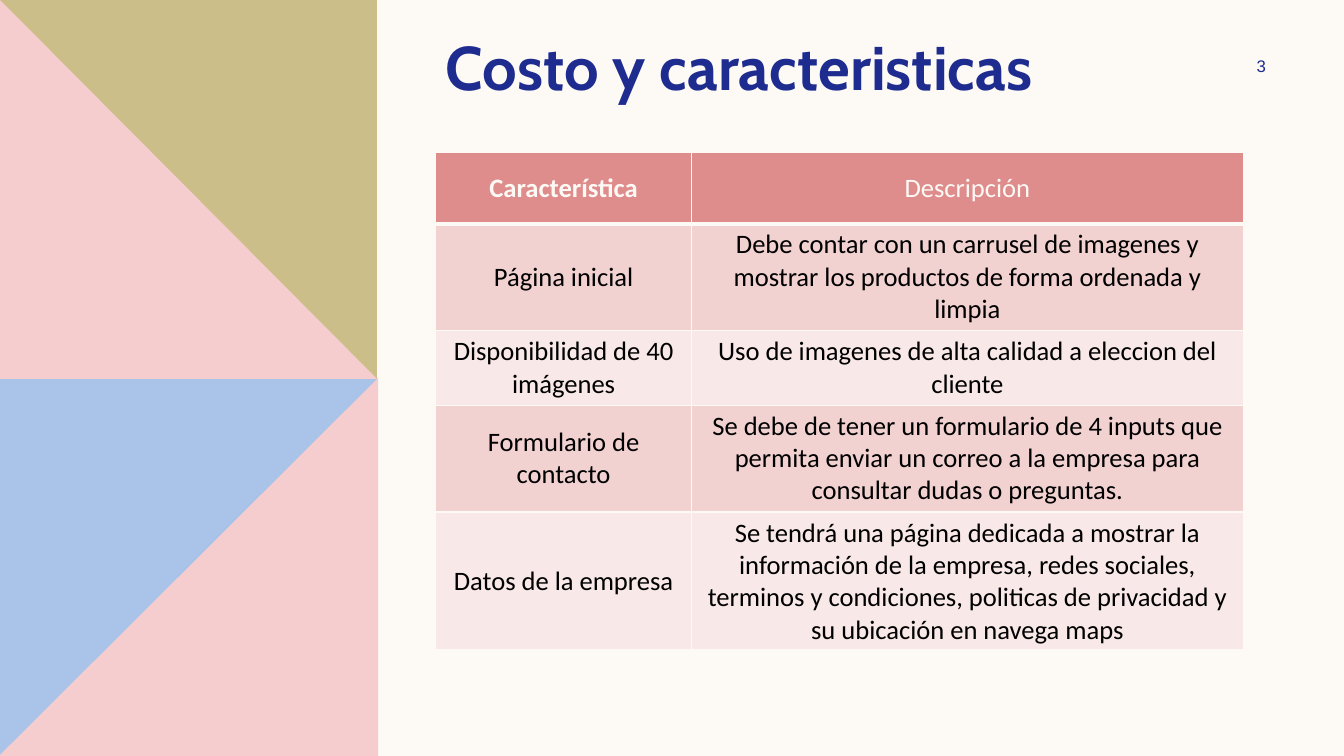
from lxml import etree
from pptx import Presentation
from pptx import util as u
from pptx.dml.color import RGBColor
from pptx.enum import text
from pptx.oxml import ns

CREAM = RGBColor(0xFD, 0xFA, 0xF6)
NAVY = RGBColor(0x1F, 0x2C, 0x8F)
BLUE = RGBColor(0xAA, 0xC3, 0xE8)
PINK = RGBColor(0xF5, 0xCD, 0xCE)
OLIVE = RGBColor(0xCC, 0xBE, 0x89)
CORAL = RGBColor(0xDE, 0x8C, 0x8C)
ROSE = RGBColor(0xF2, 0xD1, 0xD1)
BLUSH = RGBColor(0xF8, 0xE8, 0xE8)
BLACK = RGBColor(0, 0, 0)

PANELS = [
    (BLUE, [(0, 3.75), (3.75, 3.75), (3.75, 7.5), (0, 7.5)]),
    (PINK, [(3.75, 3.75), (3.75, 7.5), (0, 7.5), (0, 7.49)]),
    (OLIVE, [(0, 0), (3.74, 0), (3.74, 3.76), (0, 3.76)]),
    (PINK, [(0, 0), (3.74, 3.76), (0, 3.76)]),
]
FEATURES = [
    ("Característica", "Descripción"),
    ("Página inicial",
     "Debe contar con un carrusel de imagenes y mostrar los productos de forma ordenada y limpia"),
    ("Disponibilidad de 40 imágenes",
     "Uso de imagenes de alta calidad a eleccion del cliente"),
    ("Formulario de contacto",
     "Se debe de tener un formulario de 4 inputs que permita enviar un correo a la empresa "
     "para consultar dudas o preguntas."),
    ("Datos de la empresa",
     "Se tendrá una página dedicada a mostrar la información de la empresa, redes sociales, "
     "terminos y condiciones, politicas de privacidad y su ubicación en navega maps"),
]
COLUMN_WIDTHS = [2.54, 5.47]
ROW_HEIGHTS = [0.71, 1.06, 0.74, 1.06, 1.37]


class SlideBuilder:
    """Draw styled elements on the current slide."""

    def __init__(self, page):
        self.page = page
        self.styles = {
            "title": {"name": "Cabin", "size": u.Pt(44), "bold": True},
            "number": {"name": "Arial", "size": u.Pt(12), "bold": False},
            "head": {"name": "Calibri", "size": u.Pt(19), "bold": True},
            "body": {"name": "Calibri", "size": u.Pt(19), "bold": False},
        }
        page.background.fill.solid()
        page.background.fill.fore_color.rgb = CREAM

    def add_words(self, frame, words, style, color, align=text.PP_ALIGN.CENTER):
        frame.word_wrap = True
        para = frame.paragraphs[0]
        para.alignment = align
        span = para.add_run()
        span.text = words
        for name, value in self.styles[style].items():
            setattr(span.font, name, value)
        span.font.color.rgb = color

    def panel(self, color, points):
        corners = [(u.Inches(x), u.Inches(y)) for x, y in points]
        outline = self.page.shapes.build_freeform(*corners[0])
        outline.add_line_segments(corners[1:], close=True)
        shape = outline.convert_to_shape()
        shape.shadow.inherit = False
        shape.fill.solid()
        shape.fill.fore_color.rgb = color
        shape.line.fill.background()

    def title(self, words, left, top, width, height):
        box = self.page.shapes.title
        place = {"left": left, "top": top, "width": width, "height": height}
        for name, value in place.items():
            setattr(box, name, u.Inches(value))
        box.text_frame.auto_size = text.MSO_AUTO_SIZE.NONE
        box.text_frame.vertical_anchor = text.MSO_ANCHOR.MIDDLE
        self.add_words(box.text_frame, words, "title", NAVY, text.PP_ALIGN.LEFT)

    def number(self, words, *place):
        box = self.page.shapes.add_textbox(*map(u.Inches, place))
        box.text_frame.vertical_anchor = text.MSO_ANCHOR.MIDDLE
        self.add_words(box.text_frame, words, "number", NAVY)

    def borders(self, cell, top, bottom):
        properties = cell._tc.get_or_add_tcPr()
        for side, points in (("L", 1), ("R", 1), ("T", top), ("B", bottom)):
            line = etree.SubElement(properties, ns.qn(f"a:ln{side}"), w=str(u.Pt(points)))
            fill = etree.SubElement(line, ns.qn("a:solidFill"))
            etree.SubElement(fill, ns.qn("a:srgbClr"), val=str(CREAM))

    def table(self, rows, widths, heights, left, top):
        place = map(u.Inches, (left, top, sum(widths), sum(heights)))
        grid = self.page.shapes.add_table(len(rows), len(widths), *place).table
        for column, width in zip(grid.columns, widths):
            column.width = u.Inches(width)
        for index, (row, height) in enumerate(zip(rows, heights)):
            grid.rows[index].height = u.Inches(height)
            color = (BLUSH, ROSE)[index % 2] if index else CORAL
            for position, words in enumerate(row):
                cell = grid.cell(index, position)
                cell.vertical_anchor = text.MSO_ANCHOR.MIDDLE
                for side, inset in (("left", 0.11), ("right", 0.11), ("top", 0.05), ("bottom", 0.05)):
                    setattr(cell, f"margin_{side}", u.Inches(inset))
                self.borders(cell, 3 if index == 1 else 1, 1 if index else 3)
                cell.fill.solid()
                cell.fill.fore_color.rgb = color
                style = "body" if index or position else "head"
                self.add_words(cell.text_frame, words, style, BLACK if index else CREAM)


def main():
    deck = Presentation()
    deck.slide_width, deck.slide_height = u.Inches(13.33), u.Inches(7.5)
    builder = SlideBuilder(deck.slides.add_slide(deck.slide_layouts[5]))
    for color, points in PANELS:
        builder.panel(color, points)
    builder.title("Costo y caracteristicas", 4.32, 0.23, 7.4, 0.84)
    builder.number("3", 11.97, 0.5, 1.08, 0.3)
    builder.table(FEATURES, COLUMN_WIDTHS, ROW_HEIGHTS, 4.32, 1.51)
    deck.save("out.pptx")


if __name__ == "__main__":
    main()
